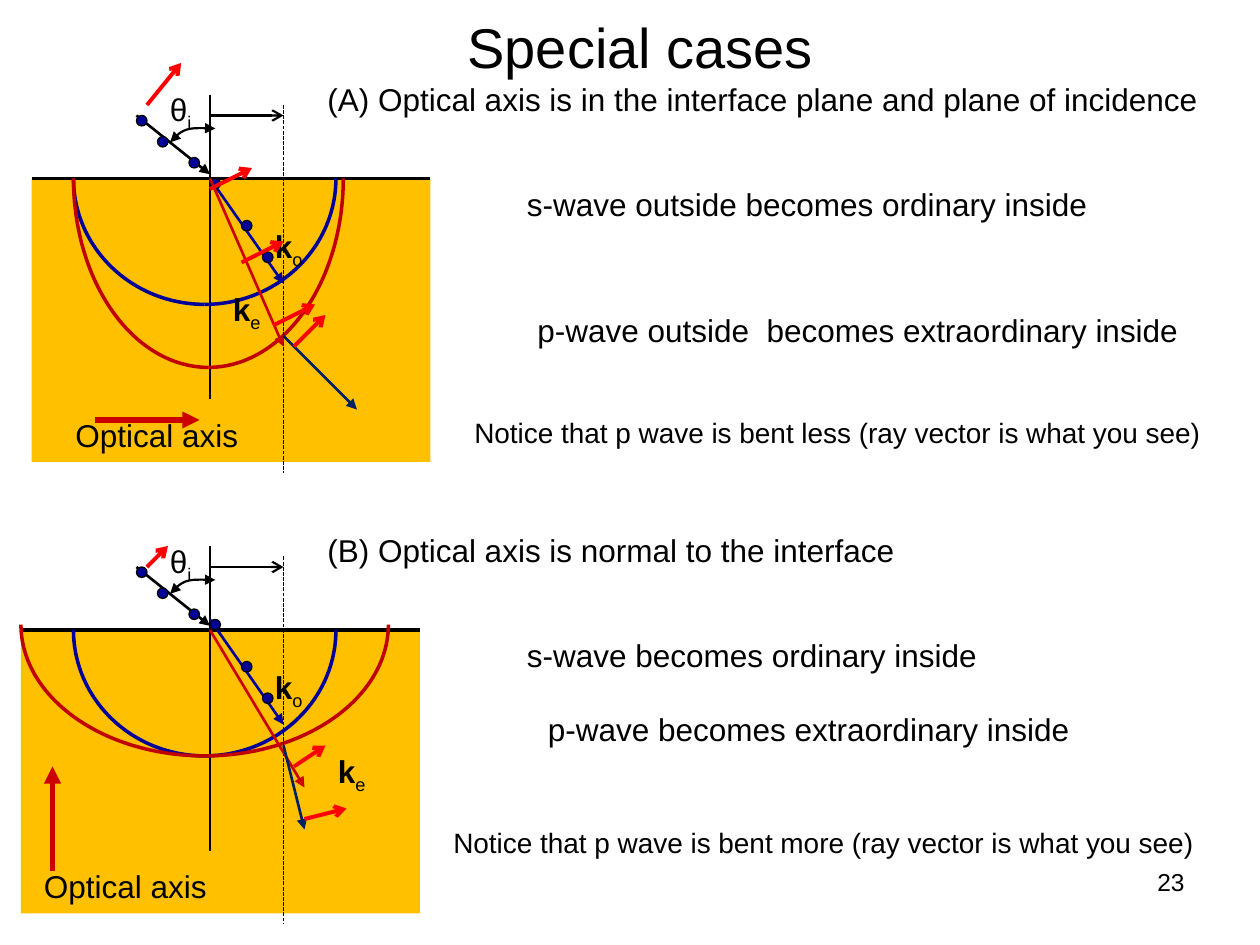
import pptx
import pptx.dml.color
import pptx.enum.dml
import pptx.enum.shapes
import pptx.enum.text
import pptx.oxml.ns
import pptx.util
from lxml import etree

RGB = pptx.dml.color.RGBColor
SHAPES = pptx.enum.shapes.MSO_SHAPE
BLACK = RGB(0x00, 0x00, 0x00)
CRYSTAL = RGB(0xFF, 0xC0, 0x00)
ORDINARY = RGB(0x00, 0x00, 0x99)
EXTRAORDINARY = RGB(0xC0, 0x00, 0x00)
CRIMSON = RGB(0xCC, 0x00, 0x00)
POLARIZATION = RGB(0xFF, 0x00, 0x00)
RAY = RGB(0x00, 0x20, 0x60)

# The slide is 120 columns by 90 rows, twelve to the inch
CELLS_PER_INCH = 12
COLUMNS, ROWS = 120, 90
TEXT_ROWS = 4.8
NORMAL = 20       # column of the surface normal
PROJECTION = 27   # column of the dashed projection line
CASE_SHIFT = 43   # rows from case A down to case B


def cells(count):
    return pptx.util.Inches(count / CELLS_PER_INCH)


def bezier(start, first, second, end, steps=8):
    """Points along a cubic curve, without its start."""
    for step in range(1, steps + 1):
        t = step / steps
        weights = ((1 - t) ** 3, 3 * t * (1 - t) ** 2, 3 * t * t * (1 - t), t ** 3)
        yield tuple(sum(w * point[i] for w, point in zip(weights, (start, first, second, end)))
                    for i in (0, 1))


class Painter:
    """Holds the text style and the slide being drawn."""

    def __init__(self, slide, font="Arial", size=18):
        self.shapes = slide.shapes
        self.font = font
        self.size = size

    def text(self, x, y, width, runs, height=TEXT_ROWS, size=None, align=None,
             middle=False, wrap=False):
        """Runs are (wording, bold, subscript)."""
        box = self.shapes.add_textbox(cells(x), cells(y), cells(width), cells(height))
        frame = box.text_frame
        frame.word_wrap = wrap
        if middle:
            frame.vertical_anchor = pptx.enum.text.MSO_ANCHOR.MIDDLE
        para = frame.paragraphs[0]
        para.alignment = align
        for wording, bold, subscript in runs:
            span = para.add_run()
            span.text = wording
            span.font.name = self.font
            span.font.size = pptx.util.Pt(size or self.size)
            span.font.bold = bold
            span.font.color.rgb = BLACK
            if subscript:
                span.font._element.set("baseline", "-25000")

    def plain(self, x, y, width, wording, **style):
        self.text(x, y, width, [(wording, False, False)], **style)

    def symbol(self, x, y, width, letter, index, bold=True):
        self.text(x, y, width, [(letter, bold, False), (index, False, True)])

    def stroke(self, line, color, weight, head=None, tail=None):
        line.color.rgb = color
        line.width = pptx.util.Pt(weight)
        for tag, kind in (("a:headEnd", head), ("a:tailEnd", tail)):
            if kind:
                end = etree.SubElement(line._get_or_add_ln(), pptx.oxml.ns.qn(tag))
                end.set("type", kind)

    def line(self, start, end, color=BLACK, weight=1.5, tail=None, dashed=False):
        ends = [cells(value) for value in (*start, *end)]
        connector = self.shapes.add_connector(pptx.enum.shapes.MSO_CONNECTOR.STRAIGHT, *ends)
        if dashed:
            connector.line.dash_style = pptx.enum.dml.MSO_LINE.SQUARE_DOT
        self.stroke(connector.line, color, weight, tail=tail)
        etree.SubElement(connector._element.spPr, pptx.oxml.ns.qn("a:effectLst"))

    def ray(self, start, end, color=BLACK, weight=1.5):
        self.line(start, end, color, weight, tail="triangle")

    def polarization(self, start, end):
        self.line(start, end, POLARIZATION, 2.25, tail="arrow")

    def shape(self, kind, x, y, width, height, fill=None):
        shape = self.shapes.add_shape(kind, cells(x), cells(y), cells(width), cells(height))
        shape.shadow.inherit = False
        if fill is None:
            shape.fill.background()
        else:
            shape.fill.solid()
            shape.fill.fore_color.rgb = fill
        return shape

    def dots(self, places):
        for x, y in places:
            dot = self.shape(SHAPES.OVAL, x, y, 1, 1, ORDINARY)
            self.stroke(dot.line, BLACK, 0.75)

    def half_ellipse(self, x, y, width, height, color):
        """Lower half of an ellipse, from two mirrored quarter arcs."""
        for mirrored in (False, True):
            arc = self.shape(SHAPES.ARC, x, y, width, height)
            arc._element.spPr.xfrm.set("flipV", "1")
            if mirrored:
                arc._element.spPr.xfrm.set("flipH", "1")
            self.stroke(arc.line, color, 2)

    def angle_mark(self, top):
        start, middle, end = (16.2, top + 4.56), (17.76, top + 3.36), (20.52, top + 3.24)
        points = [*bezier(start, (16.68, top + 4.1), (17.04, top + 3.6), middle),
                  *bezier(middle, (18.48, top + 3.12), (19.44, top + 3.24), end)]
        builder = self.shapes.build_freeform(cells(start[0]), cells(start[1]))
        builder.add_line_segments([(cells(x), cells(y)) for x, y in points], close=False)
        curve = builder.convert_to_shape()
        curve.shadow.inherit = False
        curve.fill.background()
        self.stroke(curve.line, BLACK, 1.25, head="triangle", tail="triangle")

    def interface(self, top, left, axis, axis_label, red_ellipse):
        """Crystal, incoming ray, optical axis and wave surfaces of one case."""
        surface = top + 8
        self.shape(SHAPES.RECTANGLE, left, surface, 38, 27, CRYSTAL).line.fill.background()
        self.line((left, surface), (left + 38, surface), weight=2.25)
        self.line((NORMAL, top), (NORMAL, top + 29), weight=0.75)
        self.ray((13, top + 2), (NORMAL, top + 7.6))
        self.angle_mark(top)
        self.symbol(15, top - 1, 4.6, "θ", "i", bold=False)
        self.ray(*axis, CRIMSON, 3.25)
        self.plain(*axis_label, 18.1, "Optical axis")
        self.half_ellipse(7, top - 4, 25, 24, ORDINARY)
        self.half_ellipse(*red_ellipse, EXTRAORDINARY)
        self.line((PROJECTION, top + 1), (PROJECTION, top + 36), weight=0.75, dashed=True)
        self.line((NORMAL, top + 2), (PROJECTION, top + 2), weight=1.25, tail="arrow")
        self.dots([(13, top + 2), (15, top + 4), (18, top + 6)])

    def ordinary_wave(self, top):
        self.ray((NORMAL, top), (PROJECTION, top + 10), ORDINARY)
        self.symbol(25, top + 4, 5.3, "k", "o")
        self.dots([(20, top), (25, top + 7), (23, top + 4)])

    def extraordinary_wave(self, start, end, label, ray, arrows):
        self.ray(start, end, CRIMSON)
        self.symbol(*label, 5.3, "k", "e")
        self.ray(*ray, RAY)
        for arrow in arrows:
            self.polarization(*arrow)


def main():
    deck = pptx.Presentation()
    deck.slide_width, deck.slide_height = cells(COLUMNS), cells(ROWS)
    painter = Painter(deck.slides.add_slide(deck.slide_layouts[6]))
    align = pptx.enum.text.PP_ALIGN

    painter.plain(7, 0, 108, "Special cases", height=8.8, size=32,
                  align=align.CENTER, middle=True, wrap=True)

    # Case A: optical axis along the interface
    top = 9
    painter.interface(top, 3, ((9, 40), (19, 40)), (6, 39), (7, -1, 25.7, 36))
    painter.ordinary_wave(17)
    painter.extraordinary_wave(
        (NORMAL, 17), (PROJECTION, 33), (21, 27), ((PROJECTION, 32), (34, 39)),
        [((23, 25), (27, 23)), ((20, 18), (24, 16)), ((26, 31), (30, 29)),
         ((28, 33), (31, 30)), ((14, 10), (17.25, 6))])
    painter.plain(30, 7, 86, "(A) Optical axis is in the interface plane and plane of incidence")
    painter.plain(49, 17, 57.1, "s-wave outside becomes ordinary inside")
    painter.plain(50, 29, 64.9, "p-wave outside  becomes extraordinary inside")
    painter.plain(44, 39, 72.5, "Notice that p wave is bent less (ray vector is what you see)",
                  height=4.4, size=16)

    # Case B: optical axis normal to the interface
    painter.interface(top + CASE_SHIFT, 2, ((5, 83), (5, 73)), (3, 82), (2, 47, 35, 25))
    painter.ordinary_wave(59)
    painter.extraordinary_wave(
        (NORMAL, 60), (29, 75), (31, 71), ((PROJECTION, 71), (29, 79)),
        [((29, 78), (33, 77)), ((28, 73), (31, 71)), ((14, 54), (16, 52))])
    painter.plain(30, 50, 57, "(B) Optical axis is normal to the interface")
    painter.plain(49, 60, 46.6, "s-wave becomes ordinary inside")
    painter.plain(51, 67, 59, "p-wave becomes extraordinary inside", wrap=True)
    painter.plain(42, 78, 73.9, "Notice that p wave is bent more (ray vector is what you see)",
                  height=4.4, size=16)

    # Slide number
    painter.plain(86, 82, 28, "23", height=6.2, size=14, align=align.RIGHT, wrap=True)
    deck.save("out.pptx")


if __name__ == "__main__":
    main()
